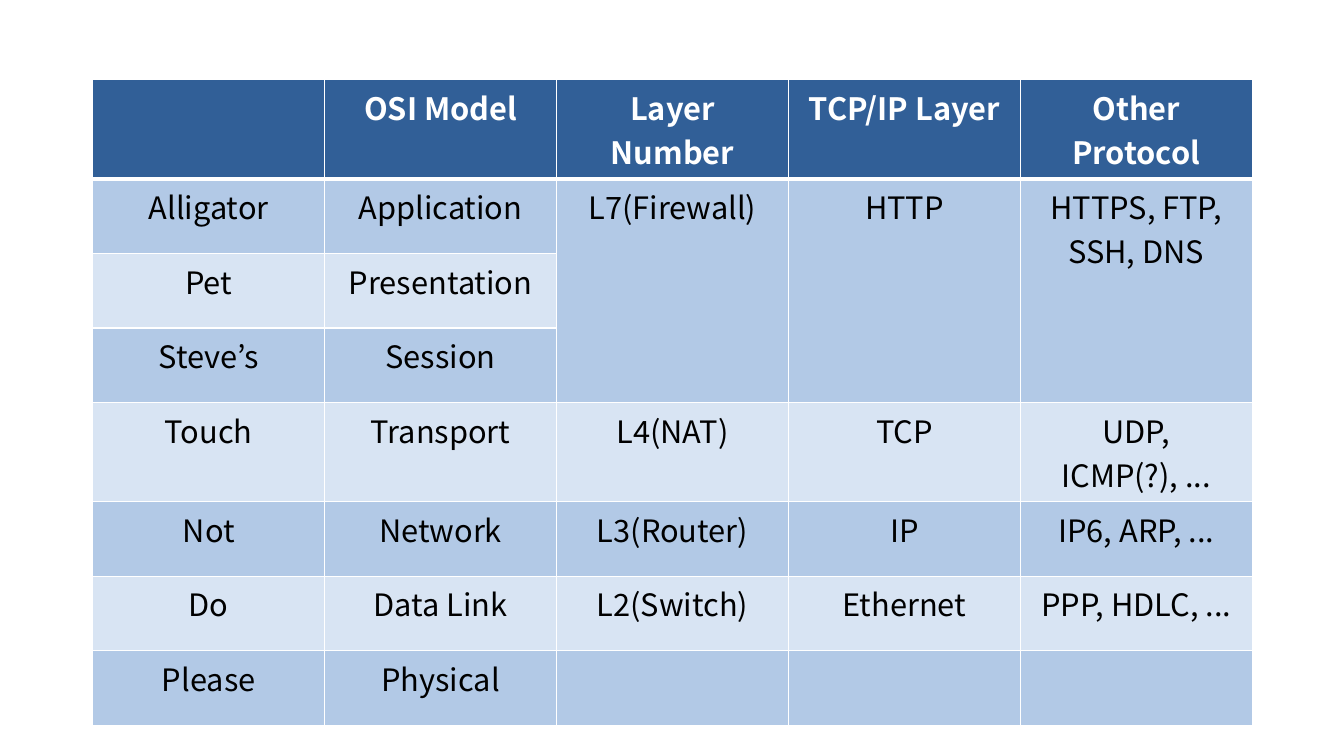
from dataclasses import dataclass

from lxml import etree
from pptx import Presentation
from pptx import table as tb
from pptx import util as u
from pptx.dml import color as dc
from pptx.enum import text as tx
from pptx.oxml import ns


@dataclass(frozen=True)
class Theme:
    font: str = "Noto Sans CJK KR"
    size: int = 22
    head: str = "315F97"
    bands: tuple[str, str] = ("B2C9E6", "D8E4F3")
    light: str = "FFFFFF"
    dark: str = "000000"
    thin: int = 1
    thick: int = 3


@dataclass(frozen=True)
class Layer:
    word: str
    name: str
    level: str = ""
    tcp: str = ""
    other: str = ""

    def texts(self) -> list[str]:
        return [self.word, self.name, self.level, self.tcp, self.other]


@dataclass(frozen=True)
class Style:
    fill: str
    ink: str
    bold: bool
    base: int


THEME = Theme()
HEAD = Layer("", "OSI Model", "Layer Number", "TCP/IP Layer", "Other Protocol")
LAYERS = [
    Layer("Alligator", "Application", "L7(Firewall)", "HTTP", "HTTPS, FTP, SSH, DNS"),
    Layer("Pet", "Presentation"),
    Layer("Steve’s", "Session"),
    Layer("Touch", "Transport", "L4(NAT)", "TCP", "UDP, ICMP(?), ..."),
    Layer("Not", "Network", "L3(Router)", "IP", "IP6, ARP, ..."),
    Layer("Do", "Data Link", "L2(Switch)", "Ethernet", "PPP, HDLC, ..."),
    Layer("Please", "Physical"),
]
COLS, WIDE, HIGH = 5, 2.3, 0.74


def edge(cell: tb._Cell, side: str, width: int) -> None:
    """Draw one cell border."""
    line = etree.SubElement(
        cell._tc.get_or_add_tcPr(), ns.qn(f"a:ln{side}"), w=str(u.Pt(width))
    )
    fill = etree.SubElement(line, ns.qn("a:solidFill"))
    etree.SubElement(fill, ns.qn("a:srgbClr"), val=THEME.light)


def paint(cell: tb._Cell, words: str, style: Style) -> None:
    """Give a cell its borders, fill and text."""
    for side in "LRT":
        edge(cell, side, THEME.thin)
    edge(cell, "B", style.base)
    cell.fill.solid()
    cell.fill.fore_color.rgb = dc.RGBColor.from_string(style.fill)
    if not words:
        return
    para = cell.text_frame.paragraphs[0]
    para.alignment = tx.PP_ALIGN.CENTER
    run = para.add_run()
    run.text = words
    font = run.font
    font.name, font.size, font.bold = THEME.font, u.Pt(THEME.size), style.bold
    font.color.rgb = dc.RGBColor.from_string(style.ink)


def main() -> None:
    deck = Presentation()
    deck.slide_width, deck.slide_height = u.Inches(13.33), u.Inches(7.5)
    slide = deck.slides.add_slide(deck.slide_layouts[6])

    # Grid of equal rows and columns
    count = len(LAYERS) + 1
    grid = slide.shapes.add_table(
        count, COLS, u.Inches(0.92), u.Inches(0.79),
        u.Inches(COLS * WIDE), u.Inches(count * HIGH),
    ).table
    for col in grid.columns:
        col.width = u.Inches(WIDE)
    for row in grid.rows:
        row.height = u.Inches(HIGH)

    # Header, then banded layers
    head = Style(THEME.head, THEME.light, True, THEME.thick)
    bands = [Style(fill, THEME.dark, False, THEME.thin) for fill in THEME.bands]
    for r, layer in enumerate([HEAD, *LAYERS]):
        style = bands[(r - 1) % 2] if r else head
        for c, words in enumerate(layer.texts()):
            paint(grid.cell(r, c), words, style)

    # The top three layers share their details
    for c in range(2, COLS):
        grid.cell(1, c).merge(grid.cell(3, c))

    deck.save("out.pptx")


if __name__ == "__main__":
    main()
